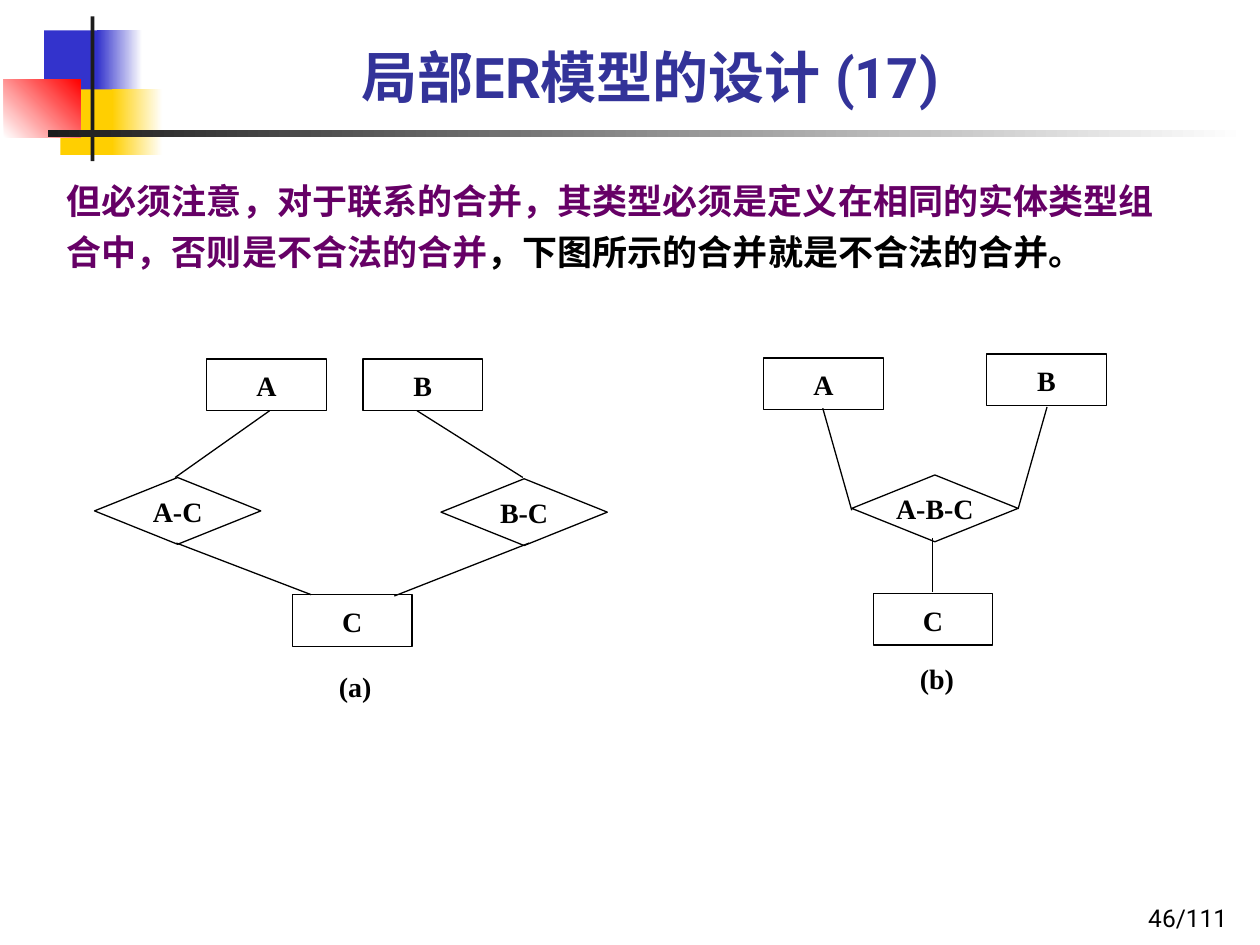
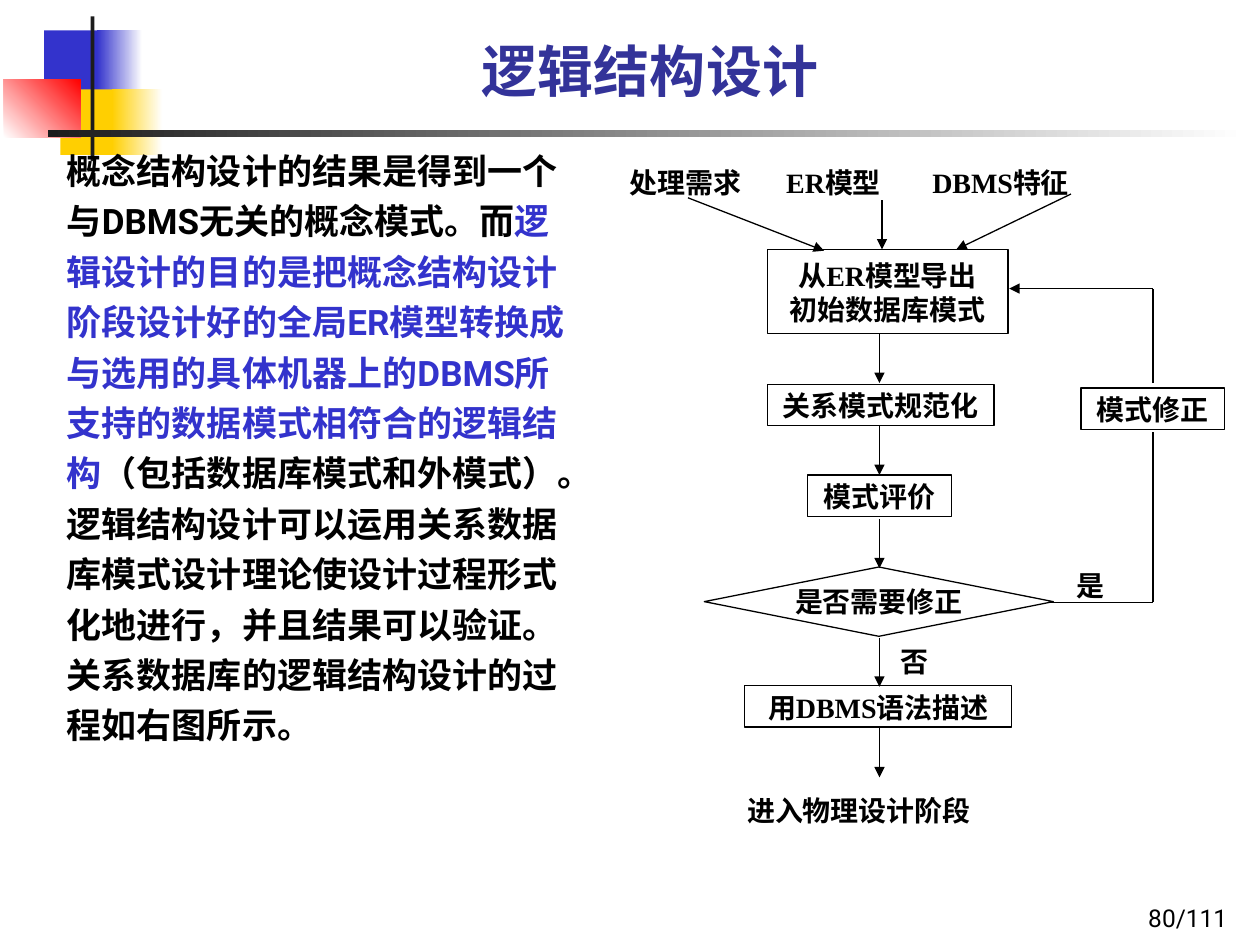
from dataclasses import dataclass

from lxml.etree import SubElement
from pptx import Presentation
from pptx.dml.color import RGBColor as Rgb
from pptx.enum.lang import MSO_LANGUAGE_ID as Language
from pptx.enum.shapes import MSO_CONNECTOR as Connector, MSO_SHAPE as Shape
from pptx.enum.text import MSO_ANCHOR as Anchor, MSO_AUTO_SIZE as AutoSize, PP_ALIGN as Align
from pptx.oxml.ns import qn
from pptx.util import Pt

EMU_PER_PX = 9144  # 100 px to the inch


@dataclass(frozen=True)
class Theme:
    ink: str = "000000"
    paper: str = "FFFFFF"
    bar: str = "1C1C1C"
    blue: str = "3333CC"
    yellow: str = "FFCF01"
    red: str = "FF0000"
    title: str = "333399"
    purple: str = "660066"
    sans: str = "Roboto"
    serif: str = "Times New Roman"
    title_size: int = 32
    body_size: int = 20
    diagram_size: int = 16
    page_size: int = 14
    line_width: float = 0.75


def px(*lengths):
    return [length * EMU_PER_PX for length in lengths]


def set_values(target, values):
    for name, value in values.items():
        setattr(target, name, value)


class Deck:
    def __init__(self, theme):
        self.theme = theme
        self.presentation = Presentation()
        width, height = px(1000, 750)
        set_values(self.presentation, {"slide_width": width, "slide_height": height})
        self.slide = None

    def new_slide(self, title, title_top, page):
        theme = self.theme
        self.slide = self.presentation.slides.add_slide(self.presentation.slide_layouts[1])
        self.ornament()
        self.placeholder(0, (90, title_top, 852, 87), [[(title, theme.title)]],
                         theme.title_size, Anchor.BOTTOM, {"alignment": Align.CENTER})
        self.page_number(page)

    def ornament(self):
        theme = self.theme
        self.block((35, 24, 48, 52), theme.blue)
        self.block((77, 24, 36, 52), theme.blue, theme.paper)
        self.block((48, 71, 46, 52), theme.yellow)
        self.block((89, 71, 40, 52), theme.yellow, theme.paper)
        self.block((3, 63, 61, 46), theme.paper, theme.red, angle=45)
        self.block((72, 13, 3, 115), theme.bar)
        self.block((38, 103, 951, 6), theme.bar, theme.paper)

    def block(self, frame, color, fade_to=None, angle=0):
        """Draw a borderless rectangle, plain or fading to a second colour."""
        shape = self.slide.shapes.add_shape(Shape.RECTANGLE, *px(*frame))
        shape.shadow.inherit = False
        shape.line.fill.background()
        if fade_to is None:
            shape.fill.solid()
            shape.fill.fore_color.rgb = Rgb.from_string(color)
            return
        shape.fill.gradient()
        shape.fill.gradient_angle = angle
        for stop, position, stop_color in zip(shape.fill.gradient_stops, (0, 1), (color, fade_to)):
            stop.position = position
            stop.color.rgb = Rgb.from_string(stop_color)

    def fill_text(self, shape, paragraphs, size, face, anchor, insets, layout, bold=True, tabs=()):
        """Fill a shape with paragraphs, each a list of (text, colour) runs."""
        frame = shape.text_frame
        sides = ("margin_left", "margin_top", "margin_right", "margin_bottom")
        set_values(frame, {"word_wrap": True, "auto_size": AutoSize.NONE,
                           "vertical_anchor": anchor, **dict(zip(sides, px(*insets)))})
        for index, runs in enumerate(paragraphs):
            paragraph = frame.add_paragraph() if index else frame.paragraphs[0]
            set_values(paragraph, layout)
            properties = paragraph._p.get_or_add_pPr()
            if shape.is_placeholder:
                properties.set("marL", "0")
                properties.set("indent", "0")
                SubElement(properties, qn("a:buNone"))
            if tabs:
                tab_list = SubElement(properties, qn("a:tabLst"))
                for position in px(*tabs):
                    SubElement(tab_list, qn("a:tab"), pos=str(position), algn="l")
            for text, color in runs:
                run = paragraph.add_run()
                run.text = text
                set_values(run.font, {"name": face, "size": Pt(size), "bold": bold,
                                      "language_id": Language.SIMPLIFIED_CHINESE})
                run.font.color.rgb = Rgb.from_string(color)
                SubElement(run._r.get_or_add_rPr(), qn("a:ea"), typeface=self.theme.sans)

    def placeholder(self, index, frame, paragraphs, size, anchor, layout):
        """Place and fill a template placeholder in front of the ornament."""
        shape = self.slide.placeholders[index]
        set_values(shape, dict(zip(("left", "top", "width", "height"), px(*frame))))
        shape.element.getparent().append(shape.element)
        self.fill_text(shape, paragraphs, size, self.theme.sans, anchor, (10, 5, 10, 5),
                       {"space_before": Pt(0), **layout})

    def body(self, frame, paragraphs):
        self.placeholder(1, frame, paragraphs, self.theme.body_size, Anchor.TOP,
                         {"alignment": Align.LEFT, "line_spacing": 1.2})

    def page_number(self, page):
        theme = self.theme
        shape = self.slide.shapes.add_textbox(*px(776, 695, 208, 50))
        self.fill_text(shape, [[(page, theme.ink)]], theme.page_size, theme.sans, Anchor.BOTTOM,
                       (10, 5, 10, 5), {"alignment": Align.RIGHT}, bold=False)

    def diagram_text(self, shape, lines, alignment, top_inset=0, tabs=()):
        theme = self.theme
        self.fill_text(shape, [[(line, theme.ink)] for line in lines], theme.diagram_size,
                       theme.serif, Anchor.MIDDLE, (0, top_inset, 0, 0),
                       {"alignment": alignment}, tabs=tabs)

    def label(self, frame, text, tabs=()):
        shape = self.slide.shapes.add_textbox(*px(*frame))
        self.diagram_text(shape, [text], Align.LEFT, tabs=tabs)

    def node(self, frame, *lines, kind=Shape.RECTANGLE):
        shape = self.slide.shapes.add_shape(kind, *px(*frame))
        shape.shadow.inherit = False
        shape.fill.solid()
        shape.fill.fore_color.rgb = Rgb.from_string(self.theme.paper)
        self.outline(shape.line)
        self.diagram_text(shape, lines, Align.CENTER, int(kind == Shape.RECTANGLE))

    def outline(self, line):
        line.color.rgb = Rgb.from_string(self.theme.ink)
        line.width = Pt(self.theme.line_width)

    def link(self, *ends, arrow=False):
        """Draw a straight line given as x1, y1, x2, y2, with an optional end arrow."""
        connector = self.slide.shapes.add_connector(Connector.STRAIGHT, *px(*ends))
        self.outline(connector.line)
        if arrow:
            SubElement(connector.line._get_or_add_ln(), qn("a:tailEnd"), type="triangle")
        SubElement(connector.element.spPr, qn("a:effectLst"))


def build_merge_slide(deck):
    theme = deck.theme
    deck.new_slide("局部ER模型的设计 (17)", 5, "46/111")
    deck.body((43, 131, 906, 102), [[
        ("但必须注意，对于联系的合并，其类型必须是定义在相同的实体类型组合中，否则是不合法的合并",
         theme.purple),
        ("，下图所示的合并就是不合法的合并。", theme.ink)]])
    deck.label((269, 526, 46, 38), "(a)")
    deck.label((730, 522, 47, 32), "(b)")
    entities = [(164, 285, "A"), (288, 285, "B"), (232, 472, "C"),
                (606, 284, "A"), (783, 281, "B"), (693, 471, "C")]
    for left, top, name in entities:
        deck.node((left, top, 95, 41), name)
    for left, top, name in [(75, 379, "A-C"), (350, 380, "B-C"), (676, 377, "A-B-C")]:
        deck.node((left, top, 132, 53), name, kind=Shape.DIAMOND)
    for ends in [(214, 326, 139, 379), (331, 326, 415, 379), (140, 431, 247, 472),
                 (420, 431, 313, 473), (653, 324, 676, 405), (831, 323, 808, 404),
                 (740, 427, 740, 470)]:
        deck.link(*ends)


def build_logical_design_slide(deck):
    theme = deck.theme
    deck.new_slide("逻辑结构设计", 0, "80/111")
    deck.body((43, 107, 417, 543), [
        [("概念结构设计的结果是得到一个与DBMS无关的概念模式。而", theme.ink),
         ("逻辑设计的目的是把概念结构设计阶段设计好的全局ER模型转换成与选用的具体机器上的"
          "DBMS所支持的数据模式相符合的逻辑结构", theme.blue),
         ("（包括数据库模式和外模式）。", theme.ink)],
        [("逻辑结构设计可以运用关系数据库模式设计理论使设计过程形式化地进行，并且结果可以验证。"
          "关系数据库的逻辑结构设计的过程如右图所示。", theme.ink)]])

    deck.label((500, 131, 434, 28), "处理需求\tER模型\tDBMS特征", tabs=(124, 240))
    deck.node((609, 198, 191, 67), "从ER模型导出", "初始数据库模式")
    for left, top, width, text in [(609, 305, 180, "关系模式规范化"), (641, 377, 114, "模式评价"),
                                   (858, 308, 114, "模式修正"), (591, 544, 212, "用DBMS语法描述")]:
        deck.node((left, top, width, 33), text)
    deck.node((559, 450, 277, 55), "是否需要修正", kind=Shape.DIAMOND)

    for ends in [(546, 157, 654, 199), (700, 159, 700, 198), (850, 154, 759, 198)]:
        deck.link(*ends, arrow=True)
    flow_x, step = 698, 39
    for top in (265, 338, 412, 506, 578):
        deck.link(flow_x, top, flow_x, top + step, arrow=True)

    loop_x, loop_top, loop_bottom = 915, 229, 478
    deck.link(833, loop_bottom, loop_x, loop_bottom)
    deck.link(loop_x, loop_bottom, loop_x, 343)
    deck.link(loop_x, 304, loop_x, loop_top)
    deck.link(loop_x, loop_top, 801, loop_top, arrow=True)

    for left, top, width, text in [(593, 628, 206, "进入物理设计阶段"),
                                   (854, 449, 46, "是"), (715, 509, 46, "否")]:
        deck.label((left, top, width, 31), text)


def main():
    deck = Deck(Theme())
    build_merge_slide(deck)
    build_logical_design_slide(deck)
    deck.presentation.save("out.pptx")


if __name__ == "__main__":
    main()
